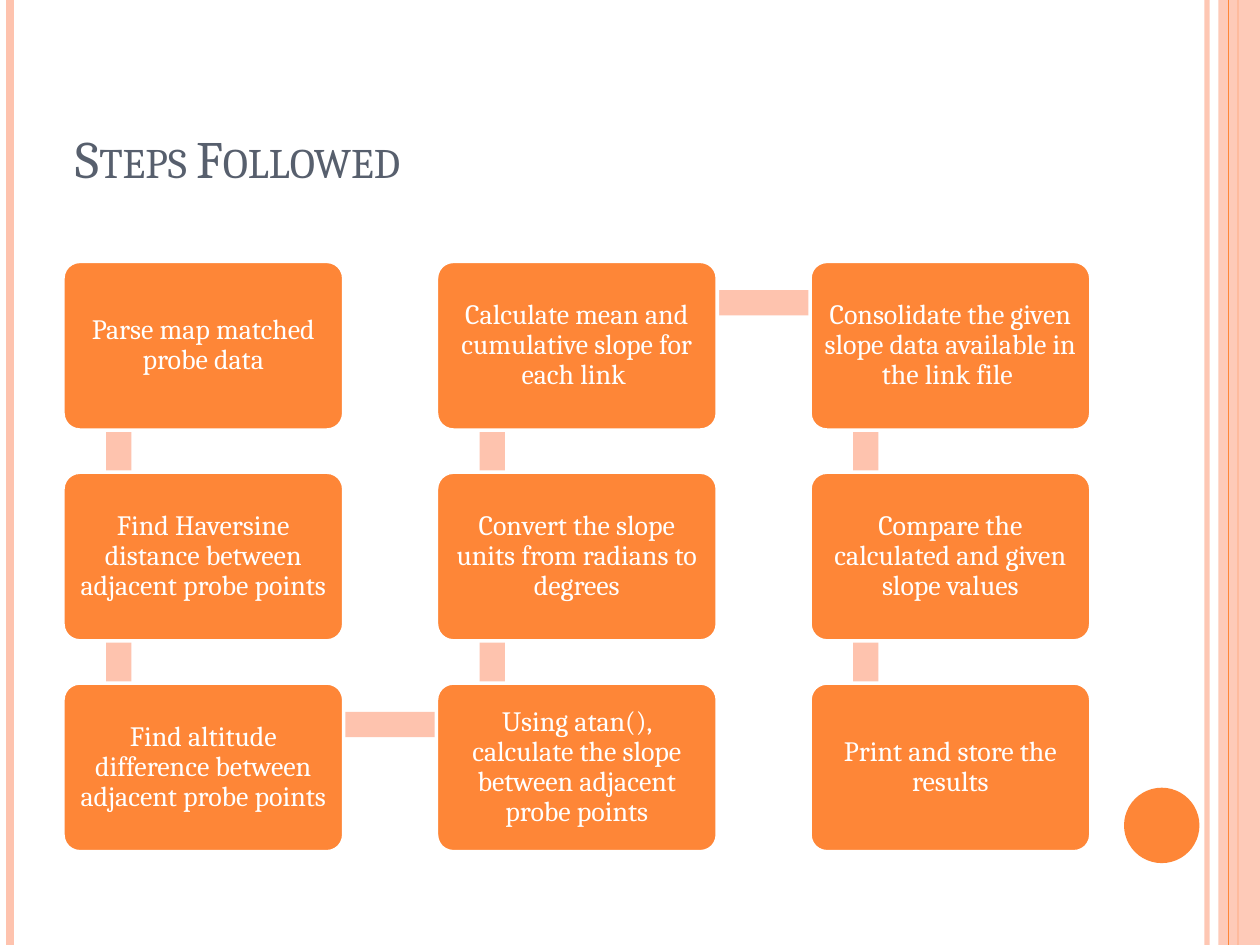
import dataclasses

import pptx
import pptx.dml.color
import pptx.enum.shapes
import pptx.enum.text
import pptx.oxml
import pptx.oxml.ns
import pptx.util

Cm = pptx.util.Cm
Pt = pptx.util.Pt
SHAPES = pptx.enum.shapes.MSO_SHAPE
ALIGN = pptx.enum.text.PP_ALIGN
ANCHOR = pptx.enum.text.MSO_ANCHOR


@dataclasses.dataclass(frozen=True)
class Theme:
    font: str = "Cambria"
    accent: str = "FE8637"
    pale: str = "FEC3AE"
    heading: str = "575F6D"
    white: str = "FFFFFF"
    title_size: float = 30
    step_size: float = 16


def apply_format(target, values):
    for name, value in values.items():
        setattr(target, name, value)


def set_color(fill, color, opacity=100):
    fill.solid()
    fill.fore_color.rgb = pptx.dml.color.RGBColor.from_string(color)
    if opacity < 100:
        color_element = fill._xPr.find(".//" + pptx.oxml.ns.qn("a:srgbClr"))
        color_element.append(pptx.oxml.parse_xml(
            f'<a:alpha {pptx.oxml.ns.nsdecls("a")} val="{opacity * 1000}"/>'))


class SlideBuilder:
    def __init__(self, slide, theme):
        self.slide = slide
        self.theme = theme

    def add_text(self, shape, text, size, color, frame_format, paragraph_format):
        frame = shape.text_frame
        apply_format(frame, {"word_wrap": True, **frame_format})
        paragraph = frame.paragraphs[0]
        apply_format(paragraph, paragraph_format)
        run = paragraph.add_run()
        run.text = text
        apply_format(run.font, {"name": self.theme.font, "size": Pt(size)})
        set_color(run.font.fill, color)
        return run

    def title(self, text, left, top, width, height):
        shape = self.slide.shapes.title
        apply_format(shape, {"left": Cm(left), "top": Cm(top),
                             "width": Cm(width), "height": Cm(height)})
        run = self.add_text(
            shape, text, self.theme.title_size, self.theme.heading,
            {"vertical_anchor": ANCHOR.BOTTOM,
             "auto_size": pptx.enum.text.MSO_AUTO_SIZE.NONE},
            {"alignment": ALIGN.LEFT})
        run.font._element.set("cap", "small")

    def shape(self, kind, left, top, width, height, color, opacity=100):
        shape = self.slide.shapes.add_shape(
            kind, Cm(left), Cm(top), Cm(width), Cm(height))
        shape.shadow.inherit = False
        set_color(shape.fill, color, opacity)
        shape.line.fill.background()
        return shape

    def step(self, text, left, top, width, height):
        box = self.shape(SHAPES.ROUNDED_RECTANGLE, left, top, width, height,
                         self.theme.accent)
        box.adjustments[0] = 0.1
        set_color(box.line.fill, self.theme.white)
        box.line.width = Pt(2)
        margins = {f"margin_{side}": Cm(0.18)
                   for side in ("left", "right", "top", "bottom")}
        self.add_text(box, text, self.theme.step_size, self.theme.white,
                      {"vertical_anchor": ANCHOR.MIDDLE, **margins},
                      {"alignment": ALIGN.CENTER, "line_spacing": 0.9})

    def vertical_line(self, left, color, weight, opacity=100):
        line = self.slide.shapes.add_connector(
            pptx.enum.shapes.MSO_CONNECTOR.STRAIGHT,
            Cm(left), Cm(0), Cm(left), Cm(SLIDE_HEIGHT))
        line.line.width = Pt(weight)
        set_color(line.line.fill, color, opacity)
        line._element.spPr.append(pptx.oxml.parse_xml(
            f'<a:effectLst {pptx.oxml.ns.nsdecls("a")}/>'))


SLIDE_WIDTH, SLIDE_HEIGHT = 25.4, 19.05
GRID_LEFT, GRID_TOP = 1.27, 5.27
COLUMN_PITCH, ROW_PITCH = 7.53, 4.25
BOX_WIDTH, BOX_HEIGHT = 5.66, 3.4
BAR_THICKNESS = 0.51

# Columns from left to right, each from top to bottom
STEP_COLUMNS = [
    ["Parse map matched probe data",
     "Find Haversine distance between adjacent probe points",
     "Find altitude difference between adjacent probe points"],
    ["Calculate mean and cumulative slope for each link ",
     "Convert the slope units from radians to degrees",
     "Using atan(), calculate the slope between adjacent probe points"],
    ["Consolidate the given slope data available in the link file ",
     "Compare the calculated and given slope values",
     "Print and store the results"],
]

theme = Theme()
presentation = pptx.Presentation()
apply_format(presentation, {"slide_width": Cm(SLIDE_WIDTH),
                            "slide_height": Cm(SLIDE_HEIGHT)})
slide = presentation.slides.add_slide(presentation.slide_layouts[5])
builder = SlideBuilder(slide, theme)

# Edge decoration
builder.vertical_line(24.33, theme.pale, 3, 93)
builder.vertical_line(0.21, theme.pale, 4.5)
builder.vertical_line(24.96, theme.accent, 1.5)
builder.shape(SHAPES.RECTANGLE, 24.56, 0, 0.84, SLIDE_HEIGHT, theme.pale, 87)
builder.vertical_line(24.76, theme.accent, 0.75)
builder.shape(SHAPES.OVAL, 22.66, 15.88, 1.52, 1.52, theme.accent)

# Title
builder.title("Steps Followed", 1.27, 0.76, 20.75, 3.18)

# Bars linking the steps: down, up, then down again
last_row = len(STEP_COLUMNS[0]) - 1
for column in range(len(STEP_COLUMNS)):
    left = GRID_LEFT + column * COLUMN_PITCH
    for row in range(last_row):
        builder.shape(SHAPES.RECTANGLE, left + 0.87,
                      GRID_TOP + row * ROW_PITCH + 0.86,
                      BAR_THICKNESS, ROW_PITCH - 0.03, theme.pale)
    if column < len(STEP_COLUMNS) - 1:
        turn_row = last_row if column % 2 == 0 else 0
        builder.shape(SHAPES.RECTANGLE, left + 1.17,
                      GRID_TOP + turn_row * ROW_PITCH + 0.58,
                      COLUMN_PITCH - 0.03, BAR_THICKNESS, theme.pale)

# Step boxes
for column, steps in enumerate(STEP_COLUMNS):
    for row, text in enumerate(steps):
        builder.step(text, GRID_LEFT + column * COLUMN_PITCH,
                     GRID_TOP + row * ROW_PITCH, BOX_WIDTH, BOX_HEIGHT)

presentation.save("out.pptx")
